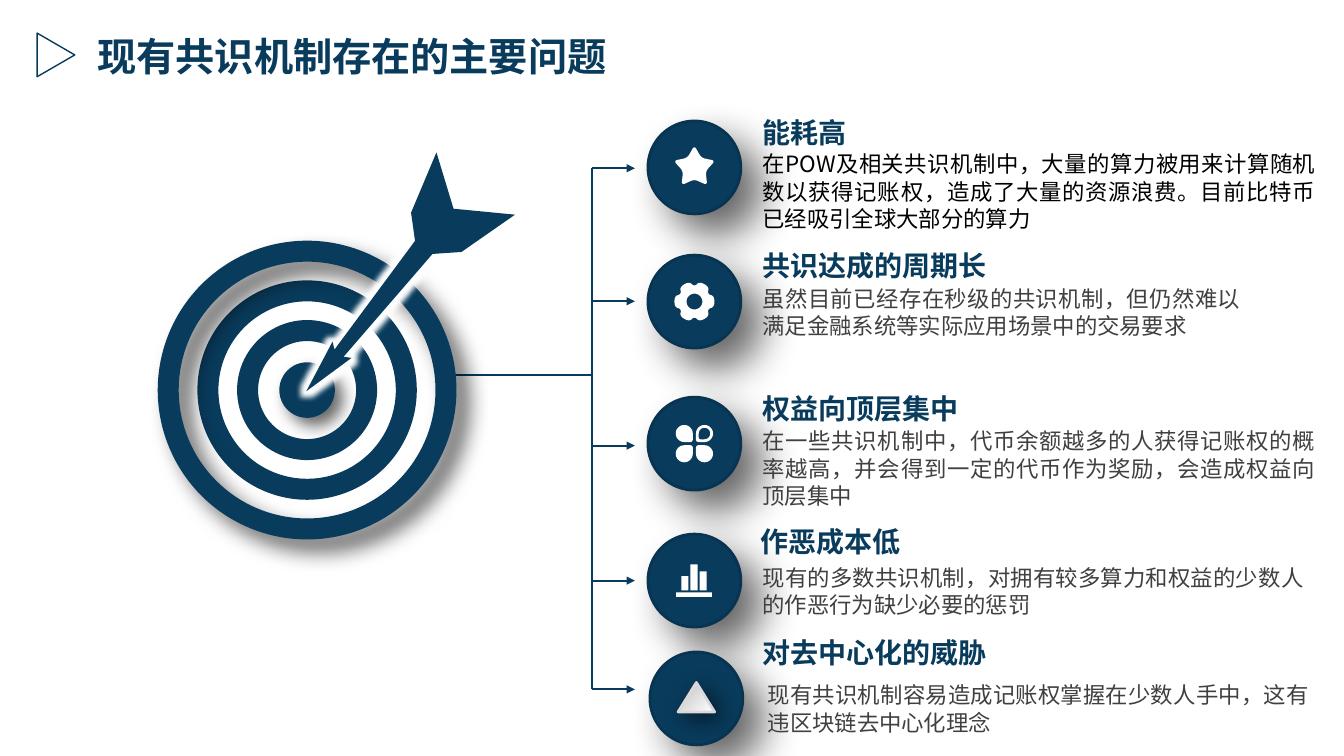
"""Builds the slide on the main problems of existing consensus mechanisms."""
import math

from lxml import etree
from pptx import Presentation
from pptx import util as u
from pptx.dml.color import RGBColor
from pptx.enum import shapes, text
from pptx.oxml.ns import qn

FONT = "Noto Sans CJK SC"
COLORS = {"navy": "093B5C", "edge": "083451", "white": "FFFFFF", "black": "000000",
          "gray": "404040", "silver": "BFBFBF", "rim": "D9D9D9"}
TITLE = "现有共识机制存在的主要问题"
PROBLEMS = [
    {"heading": "能耗高", "heading_at": (18.97, 2.77), "circle_at": (16.33, 3.05), "arrow_y": 4.24,
     "body": "在POW及相关共识机制中，大量的算力被用来计算随机数以获得记账权，造成了大量的资源浪费。目前比特币已经吸引全球大部分的算力",
     "body_box": (18.97, 3.66, 14.45, 2.31), "color": "black"},
    {"heading": "共识达成的周期长", "heading_at": (18.97, 6.12), "circle_at": (16.33, 6.43), "arrow_y": 7.59,
     "body": "虽然目前已经存在秒级的共识机制，但仍然难以满足金融系统等实际应用场景中的交易要求",
     "body_box": (18.97, 7.04, 12.55, 1.63), "color": "gray"},
    {"heading": "权益向顶层集中", "heading_at": (18.97, 9.73), "circle_at": (16.33, 10.01), "arrow_y": 11.23,
     "body": "在一些共识机制中，代币余额越多的人获得记账权的概率越高，并会得到一定的代币作为奖励，会造成权益向顶层集中",
     "body_box": (18.97, 10.64, 14.45, 2.31), "color": "gray"},
    {"heading": "作恶成本低", "heading_at": (18.92, 13.08), "circle_at": (16.33, 13.46), "arrow_y": 14.63,
     "body": "现有的多数共识机制，对拥有较多算力和权益的少数人的作恶行为缺少必要的惩罚",
     "body_box": (18.97, 14.07, 14.15, 1.63), "color": "gray"},
    {"heading": "对去中心化的威胁", "heading_at": (18.97, 15.88), "circle_at": (16.38, 16.43), "arrow_y": 17.37,
     "body": "现有共识机制容易造成记账权掌握在少数人手中，这有违区块链去中心化理念",
     "body_box": (19.1, 17.04, 14.15, 1.63), "color": "gray"},
]
DART = [(7.72, 9.86), (8.86, 9.02), (8.66, 8.99), (10.9, 6.4), (11.63, 6.35), (12.98, 5.41), (11.43, 5.26),
        (11, 3.84), (10.36, 5.36), (10.46, 6.07), (8.43, 8.81), (8.38, 8.61)]
BARS = [(-0.33, 0.36), (-0.1, 0.66), (0.13, 0.48)]
TARGET_CENTER = (7.74, 9.83)
RINGS = [3, 5, 7]
TRUNK_X, ARROW_END, TARGET_EDGE, BRANCH_Y = 14.91, 16, 11.38, 9.45
CIRCLE = 2.34


def rgb(name):
    return RGBColor.from_string(COLORS[name])


def add_effect(shape, kind, color, alpha, **attributes):
    properties = shape._element.spPr
    for old in properties.findall(qn("a:effectLst")):
        properties.remove(old)
    effects = etree.SubElement(properties, qn("a:effectLst"))
    effect = etree.SubElement(effects, qn("a:" + kind), {key: str(value) for key, value in attributes.items()})
    tint = etree.SubElement(effect, qn("a:srgbClr"), val=COLORS[color])
    etree.SubElement(tint, qn("a:alpha"), val=str(alpha * 1000))


def add_shadow(shape, blur, distance):
    add_effect(shape, "outerShdw", "black", 60, blurRad=u.Pt(blur), dist=u.Pt(distance),
               dir=45 * 60000, algn="ctr", rotWithShape=0)


def paint(shape, fill=None, line=None, width=1):
    shape.shadow.inherit = False
    if fill:
        shape.fill.solid()
        shape.fill.fore_color.rgb = rgb(fill)
    else:
        shape.fill.background()
    if line:
        shape.line.color.rgb = rgb(line)
        shape.line.width = u.Pt(width)
    else:
        shape.line.fill.background()
    return shape


def add_preset(slide, kind, box, **look):
    return paint(slide.shapes.add_shape(kind, *map(u.Cm, box)), **look)


def add_disc(slide, center, diameter, **look):
    x, y = center
    return add_preset(slide, shapes.MSO_SHAPE.OVAL, (x - diameter / 2, y - diameter / 2, diameter, diameter), **look)


def add_outline(slide, contours, fill):
    contours = [[(u.Cm(x), u.Cm(y)) for x, y in contour] for contour in contours]
    builder = slide.shapes.build_freeform(*contours[0][0])
    builder.add_line_segments(contours[0][1:])
    for contour in contours[1:]:
        builder.move_to(*contour[0])
        builder.add_line_segments(contour[1:])
    return paint(builder.convert_to_shape(), fill=fill)


def add_line(slide, start, end, arrow=False):
    line = slide.shapes.add_connector(shapes.MSO_CONNECTOR.STRAIGHT, *map(u.Cm, start + end))
    line.line.color.rgb = rgb("navy")
    line.line.width = u.Pt(1.5)
    if arrow:
        etree.SubElement(line.line._get_or_add_ln(), qn("a:tailEnd"), type="triangle")
    etree.SubElement(line._element.spPr, qn("a:effectLst"))


def add_text(slide, words, box, size, color, bold=False, align=text.PP_ALIGN.LEFT):
    frame = slide.shapes.add_textbox(*map(u.Cm, box)).text_frame
    frame.word_wrap = True
    paragraph = frame.paragraphs[0]
    paragraph.alignment = align
    paragraph.line_spacing = u.Pt(round(size * 1.22, 1))
    run = paragraph.add_run()
    run.text = words
    run.font.size, run.font.bold, run.font.name = u.Pt(size), bold, FONT
    run.font.color.rgb = rgb(color)
    etree.SubElement(run._r.get_or_add_rPr(), qn("a:ea"), typeface=FONT)


def rounded(corners, cuts, steps=8):
    """Rounds each corner of a polygon by its share of the adjoining sides."""
    points = []
    for index, (corner, cut) in enumerate(zip(corners, cuts)):
        before, after = corners[index - 1], corners[(index + 1) % len(corners)]
        handles = [[c + (n - c) * share for c, n in zip(corner, neighbor)]
                   for neighbor, share in ((before, cut), (before, cut * 0.45), (after, cut * 0.45), (after, cut))]
        for step in range(steps + 1):
            t = step / steps
            weights = ((1 - t) ** 3, 3 * t * (1 - t) ** 2, 3 * t * t * (1 - t), t ** 3)
            points.append(tuple(sum(w * h[axis] for w, h in zip(weights, handles)) for axis in (0, 1)))
    return points


def polar(center, radius, degrees):
    angle = math.radians(degrees)
    return center[0] + radius * math.cos(angle), center[1] + radius * math.sin(angle)


def draw_star(slide, center):
    corners = [polar(center, 0.3 if k % 2 else 0.55, 36 * k - 90) for k in range(10)]
    add_outline(slide, [rounded(corners, [0.25] * 10)], "white")


def draw_gear(slide, center):
    corners = [polar(center, radius, 60 * k + turn)
               for k in range(6) for turn, radius in ((-15, 0.52), (15, 0.52), (30, 0.38))]
    hole = [polar(center, 0.2, -10 * k) for k in range(36)]
    add_outline(slide, [rounded(corners, [0.4] * 18), hole], "white")


def draw_clover(slide, center):
    def petal(sx, sy, near, far):
        corners = [(center[0] + sx * a, center[1] + sy * b)
                   for a, b in ((near, near), (far, near), (far, far), (near, far))]
        return rounded(corners, [0.15, 0.5, 0.5, 0.5])

    for sx in (-1, 1):
        for sy in (-1, 1):
            hollow = (sx, sy) == (1, -1)
            hole = [petal(sx, sy, 0.11, 0.4)[::-1]] if hollow else []
            add_outline(slide, [petal(sx, sy, 0.04, 0.47)] + hole, "white")


def draw_bars(slide, center):
    x, y = center
    boxes = [(x + left, y + 0.25 - height, 0.18, height) for left, height in BARS]
    for box in boxes + [(x - 0.46, y + 0.3, 0.9, 0.11)]:
        add_preset(slide, shapes.MSO_SHAPE.RECTANGLE, box, fill="white")


def draw_triangle(slide, center):
    x, y = center
    triangle = add_preset(slide, shapes.MSO_SHAPE.ISOSCELES_TRIANGLE, (x - 0.46, y - 0.4, 0.92, 0.74),
                          fill="white", line="rim", width=2)
    triangle.fill.gradient()
    triangle.fill.gradient_angle = 135
    for stop, color in zip(triangle.fill.gradient_stops, ("white", "silver")):
        stop.color.rgb = rgb(color)
    add_shadow(triangle, 16, 6)


def draw_target(slide):
    add_shadow(add_disc(slide, TARGET_CENTER, 1.4, fill="navy"), 12, 8)
    for diameter in RINGS:
        ring = add_disc(slide, TARGET_CENTER, diameter, line="navy", width=15)
    add_shadow(ring, 16, 12)
    add_effect(add_outline(slide, [DART + DART[:1]], "navy"), "glow", "white", 100, rad=u.Pt(8))


def main():
    presentation = Presentation()
    presentation.slide_width, presentation.slide_height = u.Cm(33.87), u.Cm(19.05)
    slide = presentation.slides.add_slide(presentation.slide_layouts[6])
    marker = add_preset(slide, shapes.MSO_SHAPE.ISOSCELES_TRIANGLE, (0.86, 0.91, 1.1, 0.95), line="navy")
    marker.rotation = 90
    add_text(slide, TITLE, (2.21, 0.66, 14.1, 1.45), 28, "navy", bold=True)
    add_line(slide, (TARGET_EDGE, BRANCH_Y), (TRUNK_X, BRANCH_Y))
    add_line(slide, (TRUNK_X, PROBLEMS[-1]["arrow_y"]), (TRUNK_X, PROBLEMS[0]["arrow_y"]))
    draw_target(slide)
    icons = [draw_star, draw_gear, draw_clover, draw_bars, draw_triangle]
    for problem, draw_icon in zip(PROBLEMS, icons):
        add_line(slide, (TRUNK_X, problem["arrow_y"]), (ARROW_END, problem["arrow_y"]), arrow=True)
        center = tuple(edge + CIRCLE / 2 for edge in problem["circle_at"])
        add_shadow(add_disc(slide, center, CIRCLE, fill="navy", line="edge", width=2), 30, 20)
        draw_icon(slide, center)
    for problem in PROBLEMS:
        add_text(slide, problem["heading"], problem["heading_at"] + (7.57, 1.12), 20, "navy", bold=True)
        add_text(slide, problem["body"], problem["body_box"], 16, problem["color"], align=text.PP_ALIGN.JUSTIFY)
    presentation.save("out.pptx")


if __name__ == "__main__":
    main()
